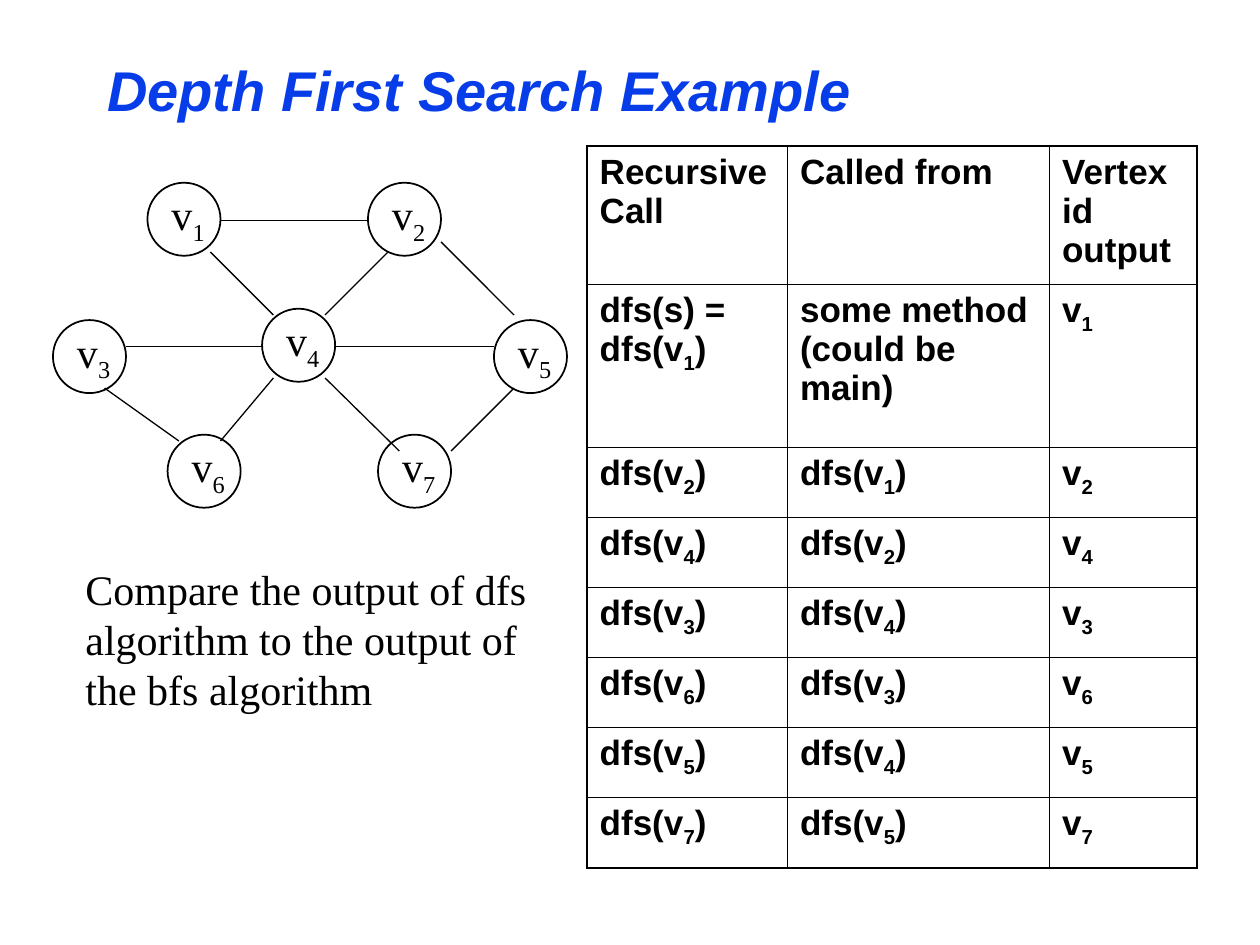
"""Build the depth first search slide: graph, call table and a closing remark."""
from lxml.etree import SubElement
from pptx import Presentation
from pptx.dml.color import RGBColor
from pptx.enum.shapes import MSO_CONNECTOR, MSO_SHAPE
from pptx.enum.text import MSO_ANCHOR, MSO_AUTO_SIZE, PP_ALIGN
from pptx.oxml.ns import qn
from pptx.util import Inches, Pt

BLACK = RGBColor(0x00, 0x00, 0x00)
BLUE = RGBColor(0x06, 0x3D, 0xE8)
SANS, SERIF = "Arial", "Times New Roman"


def add_text(paragraph, text, font_name, size, color=BLACK, bold=False, italic=False):
    """Add runs to a paragraph; the character after each underscore is a subscript."""
    first, *rest = text.split("_")
    pieces = [(first, False)]
    for part in rest:
        pieces += [(part[0], True), (part[1:], False)]
    for piece, subscript in pieces:
        if not piece:
            continue
        run = paragraph.add_run()
        run.text = piece
        run.font.name, run.font.size = font_name, Pt(size)
        run.font.bold, run.font.italic = bold, italic
        run.font.color.rgb = color
        if subscript:
            run.font._element.set("baseline", "-25000")


def add_border(cell, side, width):
    """Draw one black edge of a table cell."""
    edge = SubElement(cell._tc.get_or_add_tcPr(), qn(f"a:ln{side}"), w=str(Pt(width)))
    SubElement(SubElement(edge, qn("a:solidFill")), qn("a:srgbClr"), val=str(BLACK))


prs = Presentation()
prs.slide_width, prs.slide_height = Inches(10), Inches(7.5)
slide = prs.slides.add_slide(prs.slide_layouts[5])

title = slide.shapes.title
title.left, title.top = Inches(0.75), Inches(0.33)
title.width, title.height = Inches(8.5), Inches(0.75)
title.text_frame.vertical_anchor = MSO_ANCHOR.MIDDLE
heading = title.text_frame.paragraphs[0]
heading.alignment = PP_ALIGN.LEFT
add_text(heading, "Depth First Search Example", SANS, 32, BLUE, bold=True, italic=True)

visits = [(2, 1), (4, 2), (3, 4), (6, 3), (5, 4), (7, 5)]
call_rows = [
    ("Recursive Call", "Called from", "Vertex id output"),
    ("dfs(s) = dfs(v_1)", "some method (could be main)", "v_1"),
] + [(f"dfs(v_{vertex})", f"dfs(v_{caller})", f"v_{vertex}") for vertex, caller in visits]
column_widths = [1.59, 2.08, 1.17]
row_heights = [1.1, 1.29] + [3.34 / len(visits)] * len(visits)

calls = slide.shapes.add_table(
    len(call_rows), len(column_widths), Inches(4.66), Inches(1.16),
    Inches(sum(column_widths)), Inches(sum(row_heights))).table
calls.first_row = calls.horz_banding = False
for column, width in zip(calls.columns, column_widths):
    column.width = Inches(width)
for row, height in zip(calls.rows, row_heights):
    row.height = Inches(height)

last_row, last_column = len(call_rows) - 1, len(column_widths) - 1
for r, call_row in enumerate(call_rows):
    for c, entry in enumerate(call_row):
        cell = calls.cell(r, c)
        outer_sides = {"L": c == 0, "R": c == last_column, "T": r == 0, "B": r == last_row}
        for side, outer in outer_sides.items():
            add_border(cell, side, 1.08 if outer else 0.45)
        cell.fill.background()
        paragraph = cell.text_frame.paragraphs[0]
        paragraph.space_before = Pt(5)
        add_text(paragraph, entry, SANS, 20, bold=True)

vertices = {
    1: (1.17, 1.45), 3: (0.42, 2.54), 2: (2.92, 1.45), 6: (1.33, 3.45),
    4: (2.08, 2.45), 5: (3.92, 2.54), 7: (3, 3.45),
}
for number, (left, top) in vertices.items():
    vertex = slide.shapes.add_group_shape().shapes
    circle = vertex.add_shape(
        MSO_SHAPE.OVAL, Inches(left), Inches(top), Inches(0.58), Inches(0.58))
    circle.shadow.inherit = False
    circle.fill.background()
    circle.line.color.rgb, circle.line.width = BLACK, Pt(1)
    label = vertex.add_textbox(
        Inches(left + 0.01), Inches(top), Inches(0.54), Inches(0.56)).text_frame
    label.word_wrap = True
    label.margin_right = 0
    label.paragraphs[0].space_before = Pt(6)
    add_text(label.paragraphs[0], f" v_{number}", SERIF, 24)

edges = [
    (1.75, 1.75, 2.92, 1.75), (3.5, 1.92, 4.08, 2.5), (1.67, 2, 2.17, 2.5),
    (3.08, 2, 2.58, 2.5), (2.08, 2.75, 1, 2.75), (2.67, 2.75, 3.92, 2.75),
    (0.83, 3.08, 1.42, 3.5), (2.17, 3, 1.75, 3.5), (2.58, 3, 3.17, 3.58),
    (4.08, 3.08, 3.58, 3.58),
]
for ends in edges:
    edge = slide.shapes.add_connector(MSO_CONNECTOR.STRAIGHT, *map(Inches, ends))
    edge.line.color.rgb, edge.line.width = BLACK, Pt(0.75)
    SubElement(edge._element.spPr, qn("a:effectLst"))

remark = slide.shapes.add_textbox(
    Inches(0.58), Inches(4.42), Inches(3.93), Inches(1.3)).text_frame
remark.word_wrap = True
remark.auto_size = MSO_AUTO_SIZE.SHAPE_TO_FIT_TEXT
add_text(remark.paragraphs[0],
         "Compare the output of dfs algorithm to the output of the bfs algorithm", SERIF, 24)

prs.save("out.pptx")
